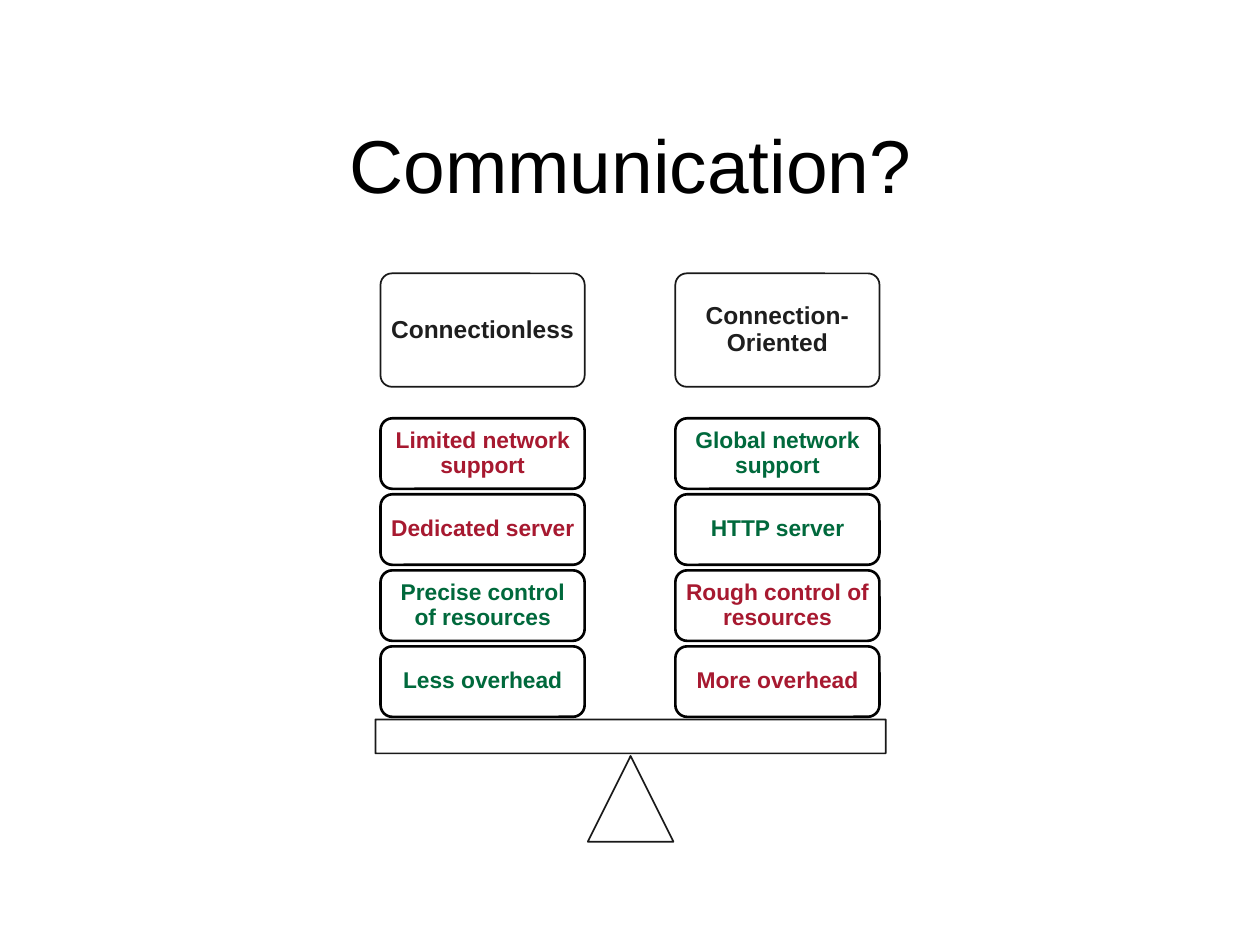
from lxml import etree
from pptx import Presentation
from pptx.dml.color import RGBColor
from pptx.enum import shapes, text
from pptx.oxml.ns import qn
from pptx.util import Inches, Pt

BLACK = RGBColor(0x00, 0x00, 0x00)
WHITE = RGBColor(0xFF, 0xFF, 0xFF)
DARK = RGBColor(0x1E, 0x1E, 0x1E)
RED = RGBColor(0xA7, 0x19, 0x30)
GREEN = RGBColor(0x00, 0x69, 0x3C)

FONT = "Arial"
CARD_HEIGHT = Inches(0.56)
HEADER_HEIGHT = Inches(0.9)

# Each column: left edge, heading, cards from top to bottom
COLUMNS = [
    (Inches(3.02), "Connectionless", [
        ("Limited network support", RED),
        ("Dedicated server", RED),
        ("Precise control of resources", GREEN),
        ("Less overhead", GREEN),
    ]),
    (Inches(5.36), "Connection-Oriented", [
        ("Global network support", GREEN),
        ("HTTP server", GREEN),
        ("Rough control of resources", RED),
        ("More overhead", RED),
    ]),
]


def write_text(shape, wording, size, color, bold=False, spacing=None, inset=0.05):
    frame = shape.text_frame
    frame.word_wrap = True
    frame.auto_size = text.MSO_AUTO_SIZE.NONE
    frame.vertical_anchor = text.MSO_ANCHOR.MIDDLE
    frame.margin_left = frame.margin_right = Inches(inset)
    frame.margin_top = frame.margin_bottom = Inches(inset)
    paragraph = frame.paragraphs[0]
    paragraph.alignment = text.PP_ALIGN.CENTER
    paragraph.line_spacing = spacing
    run = paragraph.add_run()
    run.text = wording
    run.font.name = FONT
    run.font.size = Pt(size)
    run.font.bold = bold
    run.font.color.rgb = color


def add_outline(group, kind, box, line_width=1, opacity=None, corner=None):
    shape = group.shapes.add_shape(kind, *box)
    shape.shadow.inherit = False
    shape.fill.solid()
    shape.fill.fore_color.rgb = WHITE
    shape.line.color.rgb = BLACK
    shape.line.width = Pt(line_width)
    if corner is not None:
        shape.adjustments[0] = corner
    if opacity is not None:
        for color in shape._element.spPr.iter(qn("a:srgbClr")):
            etree.SubElement(color, qn("a:alpha"), val=str(opacity * 1000))
    return shape


def place_title(slide, left, top, width, height):
    title = slide.shapes.title
    title.left, title.top, title.width, title.height = left, top, width, height
    write_text(title, "Communication?", 42.8, BLACK, inset=0.06)


def add_column(group, heading, cards, left, top, width, height):
    # Heading
    header = add_outline(group, shapes.MSO_SHAPE.ROUNDED_RECTANGLE,
                         (left, top, width, HEADER_HEIGHT), opacity=90, corner=0.1)
    write_text(header, heading, 14, DARK, bold=True, spacing=0.9)

    # Cards stacked evenly down to the beam
    first = top + Inches(1.15)
    step = (top + height - CARD_HEIGHT - first) / (len(cards) - 1)
    for index, (wording, color) in enumerate(cards):
        box = (left, round(first + index * step), width, CARD_HEIGHT)
        card = add_outline(group, shapes.MSO_SHAPE.ROUNDED_RECTANGLE, box, line_width=1.5)
        write_text(card, wording, 13, color, bold=True, spacing=0.9)


def add_balance(group, left, top, width, height):
    # Fulcrum centred below the beam
    side = Inches(0.68)
    add_outline(group, shapes.MSO_SHAPE.ISOSCELES_TRIANGLE,
                (left + (width - side) // 2, top + height - side, side, side), opacity=90)
    # Beam
    add_outline(group, shapes.MSO_SHAPE.RECTANGLE,
                (left, top, width, Inches(0.27)), opacity=90)


def main():
    presentation = Presentation()
    presentation.slide_width = Inches(10)
    presentation.slide_height = Inches(7.5)
    slide = presentation.slides.add_slide(presentation.slide_layouts[5])

    place_title(slide, Inches(0.75), Inches(0.67), Inches(8.51), Inches(1.25))

    scale = slide.shapes.add_group_shape()
    add_balance(scale, Inches(2.98), Inches(5.71), Inches(4.05), Inches(0.97))
    for left, heading, cards in COLUMNS:
        add_column(scale, heading, cards, left, Inches(2.17), Inches(1.62), Inches(3.52))

    presentation.save("out.pptx")


if __name__ == "__main__":
    main()
